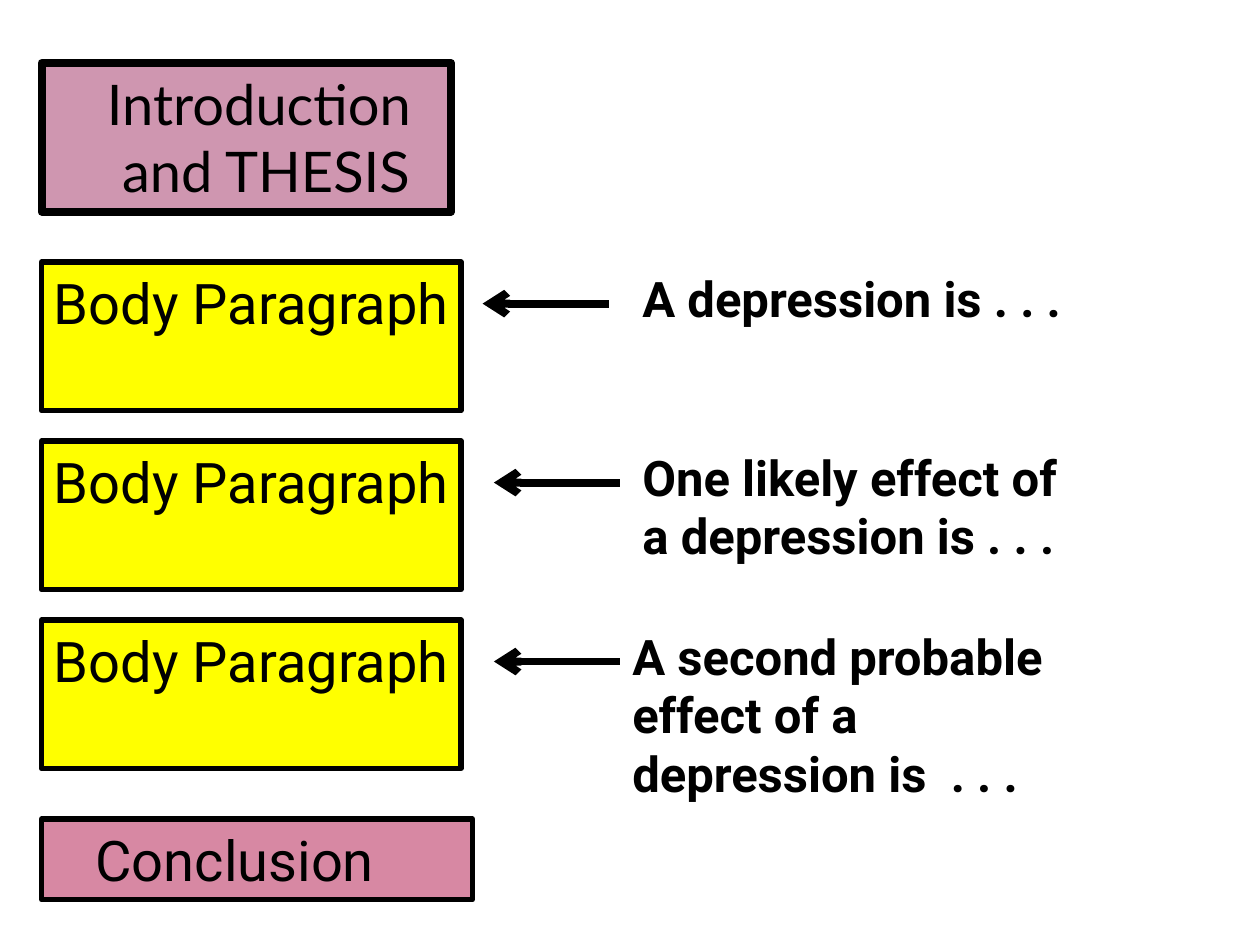
from dataclasses import dataclass

from pptx import Presentation
from pptx.dml.color import RGBColor as Color
from pptx.enum.shapes import MSO_CONNECTOR as Link, MSO_SHAPE as Shape
from pptx.enum.text import MSO_ANCHOR as Anchor, PP_ALIGN as Align
from pptx.oxml.ns import qn
from pptx.util import Inches, Pt
from lxml.etree import SubElement


@dataclass(frozen=True)
class Theme:
    ink: Color = Color.from_string("000000")
    intro: Color = Color.from_string("CF96B0")
    body: Color = Color.from_string("FFFF00")
    close: Color = Color.from_string("D788A3")
    font: str = "Roboto"
    lead: str = "Lato"
    large: int = 32
    small: int = 28
    thick: float = 4.5
    thin: float = 3


class Deck:
    """Holds the theme and the current slide."""

    def __init__(self, theme):
        self.theme = theme
        self.show = Presentation()
        self.show.slide_width = Inches(10)
        self.show.slide_height = Inches(7.5)
        self.slide = self.show.slides.add_slide(self.show.slide_layouts[6])

    def label(self, frame, lines, size, font, bold=False):
        """Fill a frame with (text, indent) lines."""
        frame.word_wrap = True
        frame.vertical_anchor = Anchor.TOP
        for i, (text, indent) in enumerate(lines):
            para = frame.paragraphs[0] if i == 0 else frame.add_paragraph()
            para.text = text
            para.alignment = Align.LEFT
            para.font.size = Pt(size)
            para.font.name = font
            para.font.bold = bold
            para.font.color.rgb = self.theme.ink
            if indent:
                props = para._p.get_or_add_pPr()
                props.set("marL", str(Inches(indent)))
                props.set("indent", "0")

    def box(self, top, width, height, fill, lines, line=None, font=None):
        box = self.slide.shapes.add_shape(
            Shape.RECTANGLE, Inches(0.33), Inches(top), Inches(width), Inches(height))
        box.shadow.inherit = False
        box.fill.solid()
        box.fill.fore_color.rgb = fill
        box.line.color.rgb = self.theme.ink
        box.line.width = Pt(line or self.theme.thin)
        box.text_frame.margin_right = Inches(0.05)
        self.label(box.text_frame, lines, self.theme.large, font or self.theme.font)

    def note(self, left, top, width, height, text):
        note = self.slide.shapes.add_textbox(
            Inches(left), Inches(top), Inches(width), Inches(height))
        self.label(note.text_frame, [(text, 0)], self.theme.small,
                   self.theme.font, bold=True)

    def arrow(self, start, end, y):
        arrow = self.slide.shapes.add_connector(
            Link.STRAIGHT, Inches(start), Inches(y), Inches(end), Inches(y))
        arrow.line.color.rgb = self.theme.ink
        arrow.line.width = Pt(self.theme.thick)
        SubElement(arrow.line._get_or_add_ln(), qn("a:tailEnd"), type="arrow")
        SubElement(arrow._element.spPr, qn("a:effectLst"))

    def save(self):
        self.show.save("out.pptx")


def main():
    theme = Theme()
    deck = Deck(theme)

    # Introduction
    deck.box(0.5, 3.25, 1.18, theme.intro,
             [("Introduction", 0.42), ("and THESIS", 0.54)],
             line=theme.thick, font=theme.lead)

    # Body paragraphs, each with an arrow from its topic sentence
    topics = [
        ("A depression is . . .", 5, 3.83, 0.57, 4.83),
        ("One likely effect of a depression is . . .", 5, 3.75, 1.04, 4.92),
        ("A second probable effect of a depression is  . . .", 4.92, 3.83, 1.51, 4.92),
    ]
    for i, (text, left, width, height, start) in enumerate(topics):
        top = 2.08 + 1.42 * i
        deck.box(top, 3.33, 1.18, theme.body, [("Body Paragraph", 0)])
        deck.note(left, top, width, height, text)
        deck.arrow(start, start - 1, top + 0.33)

    # Conclusion
    deck.box(6.5, 3.42, 0.64, theme.close, [("Conclusion", 0.33)])

    deck.save()


if __name__ == "__main__":
    main()
